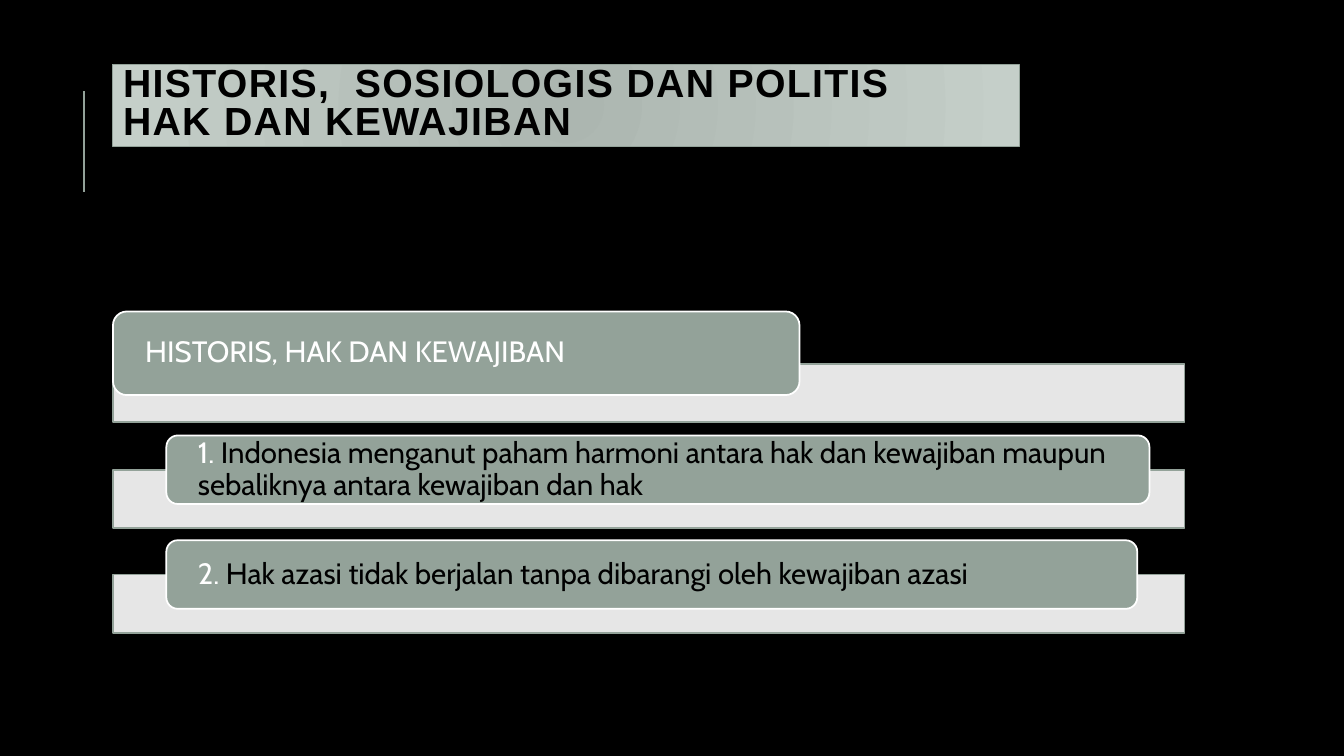
from dataclasses import dataclass

import pptx
import pptx.dml.color
import pptx.enum.shapes
import pptx.enum.text
import pptx.oxml
import pptx.oxml.ns
import pptx.shapes.autoshape
import pptx.slide
import pptx.text.text
import pptx.util

EMU_PER_PX = 9144
SLIDE_SIZE = (1333, 750)
LEFT_EDGE = 112
BAR_WIDTH = 1063
BAR_HEIGHT = 58
LABEL_INSET = 28


@dataclass(frozen=True)
class Theme:
    background: str = "000000"
    accent: str = "93A299"
    light: str = "FFFFFF"
    dark: str = "000000"
    gradient: tuple[str, str] = ("ACB6B0", "C5CFC9")
    title_font: str = "Arial"
    body_font: str = "Cabin"
    title_size: int = 28
    body_size: int = 21
    bar_opacity: int = 90


@dataclass(frozen=True)
class Row:
    bar_top: int
    left: int
    rise: int
    width: int
    height: int
    heading: str
    detail: str = ""


THEME = Theme()
TITLE_LINES = ("HISTORIS,  SOSIOLOGIS DAN POLITIS", "HAK DAN KEWAJIBAN")
ROWS = (
    Row(361, LEFT_EDGE, 52, 681, 83, "HISTORIS, HAK DAN KEWAJIBAN"),
    Row(466, 165, 34, 975, 68, "1. ",
        "Indonesia menganut paham harmoni antara hak dan kewajiban maupun "
        "sebaliknya antara kewajiban dan hak"),
    Row(570, 165, 34, 963, 68, "2. ",
        "Hak azasi tidak berjalan tanpa dibarangi oleh kewajiban azasi"),
)


def px(length: int) -> pptx.util.Emu:
    return pptx.util.Emu(length * EMU_PER_PX)


def rgb(color: str) -> pptx.dml.color.RGBColor:
    return pptx.dml.color.RGBColor.from_string(color)


def add_text(paragraph: pptx.text.text._Paragraph, text: str, *, font: str,
             size: int, color: str, bold: bool = False, spacing: int = 0) -> None:
    run = paragraph.add_run()
    run.text = text
    run.font.name = font
    run.font.size = pptx.util.Pt(size)
    run.font.bold = bold
    run.font.color.rgb = rgb(color)
    if spacing:
        run.font._element.set("spc", str(spacing * 100))


def prepare_paragraph(frame: pptx.text.text.TextFrame,
                      line_spacing: float) -> pptx.text.text._Paragraph:
    frame.word_wrap = True
    frame.auto_size = pptx.enum.text.MSO_AUTO_SIZE.NONE
    frame.vertical_anchor = pptx.enum.text.MSO_ANCHOR.MIDDLE
    paragraph = frame.paragraphs[0]
    paragraph.alignment = pptx.enum.text.PP_ALIGN.LEFT
    paragraph.line_spacing = line_spacing
    return paragraph


def add_box(slide: pptx.slide.Slide, kind: pptx.enum.shapes.MSO_SHAPE, left: int,
            top: int, width: int, height: int, *, fill: str,
            line: str) -> pptx.shapes.autoshape.Shape:
    shape = slide.shapes.add_shape(kind, px(left), px(top), px(width), px(height))
    shape.shadow.inherit = False
    shape.fill.solid()
    shape.fill.fore_color.rgb = rgb(fill)
    shape.line.color.rgb = rgb(line)
    shape.line.width = pptx.util.Pt(1.25)
    return shape


def add_accent_line(slide: pptx.slide.Slide) -> None:
    connector = slide.shapes.add_connector(
        pptx.enum.shapes.MSO_CONNECTOR.STRAIGHT, px(83), px(190), px(83), px(90))
    connector.line.color.rgb = rgb(THEME.accent)
    connector.line.width = pptx.util.Pt(1.5)
    properties = connector._element.spPr
    properties.append(pptx.oxml.parse_xml(
        f'<a:effectLst {pptx.oxml.ns.nsdecls("a")}/>'))


def format_title(title: pptx.shapes.autoshape.Shape) -> None:
    title.left, title.top = px(LEFT_EDGE), px(64)
    title.width, title.height = px(899), px(81)
    title.fill.gradient()
    for stop, color, position in zip(title.fill.gradient_stops, THEME.gradient, (0, 1)):
        stop.color.rgb = rgb(color)
        stop.position = position
    linear = title._element.spPr.find(".//" + pptx.oxml.ns.qn("a:lin"))
    linear.getparent().replace(linear, pptx.oxml.parse_xml(
        f'<a:path {pptx.oxml.ns.nsdecls("a")} path="circle">'
        '<a:fillToRect l="100000" t="100000" r="100000" b="100000"/></a:path>'))
    title.line.color.rgb = rgb(THEME.accent)
    title.line.width = pptx.util.Pt(0.75)
    paragraph = prepare_paragraph(title.text_frame, 0.8)
    for index, text in enumerate(TITLE_LINES):
        if index:
            paragraph.add_line_break()
        add_text(paragraph, text, font=THEME.title_font, size=THEME.title_size,
                 color=THEME.dark, bold=True, spacing=1)


def add_row(slide: pptx.slide.Slide, row: Row) -> None:
    bar = add_box(slide, pptx.enum.shapes.MSO_SHAPE.RECTANGLE, LEFT_EDGE, row.bar_top,
                  BAR_WIDTH, BAR_HEIGHT, fill=THEME.light, line=THEME.accent)
    bar_color = bar._element.spPr.find(
        pptx.oxml.ns.qn("a:solidFill") + "/" + pptx.oxml.ns.qn("a:srgbClr"))
    bar_color.append(pptx.oxml.parse_xml(
        f'<a:alpha {pptx.oxml.ns.nsdecls("a")} val="{THEME.bar_opacity * 1000}"/>'))
    label = add_box(slide, pptx.enum.shapes.MSO_SHAPE.ROUNDED_RECTANGLE, row.left,
                    row.bar_top - row.rise, row.width, row.height,
                    fill=THEME.accent, line=THEME.light)
    frame = label.text_frame
    frame.margin_left = frame.margin_right = px(LABEL_INSET)
    frame.margin_top = frame.margin_bottom = px(0)
    paragraph = prepare_paragraph(frame, 0.9)
    for text, color in ((row.heading, THEME.light), (row.detail, THEME.dark)):
        if text:
            add_text(paragraph, text, font=THEME.body_font, size=THEME.body_size,
                     color=color)


def main() -> None:
    presentation = pptx.Presentation()
    presentation.slide_width, presentation.slide_height = map(px, SLIDE_SIZE)
    slide = presentation.slides.add_slide(
        presentation.slide_layouts.get_by_name("Title Only"))
    slide.background.fill.solid()
    slide.background.fill.fore_color.rgb = rgb(THEME.background)
    add_accent_line(slide)
    format_title(slide.shapes.title)
    for row in ROWS:
        add_row(slide, row)
    presentation.save("out.pptx")


if __name__ == "__main__":
    main()
